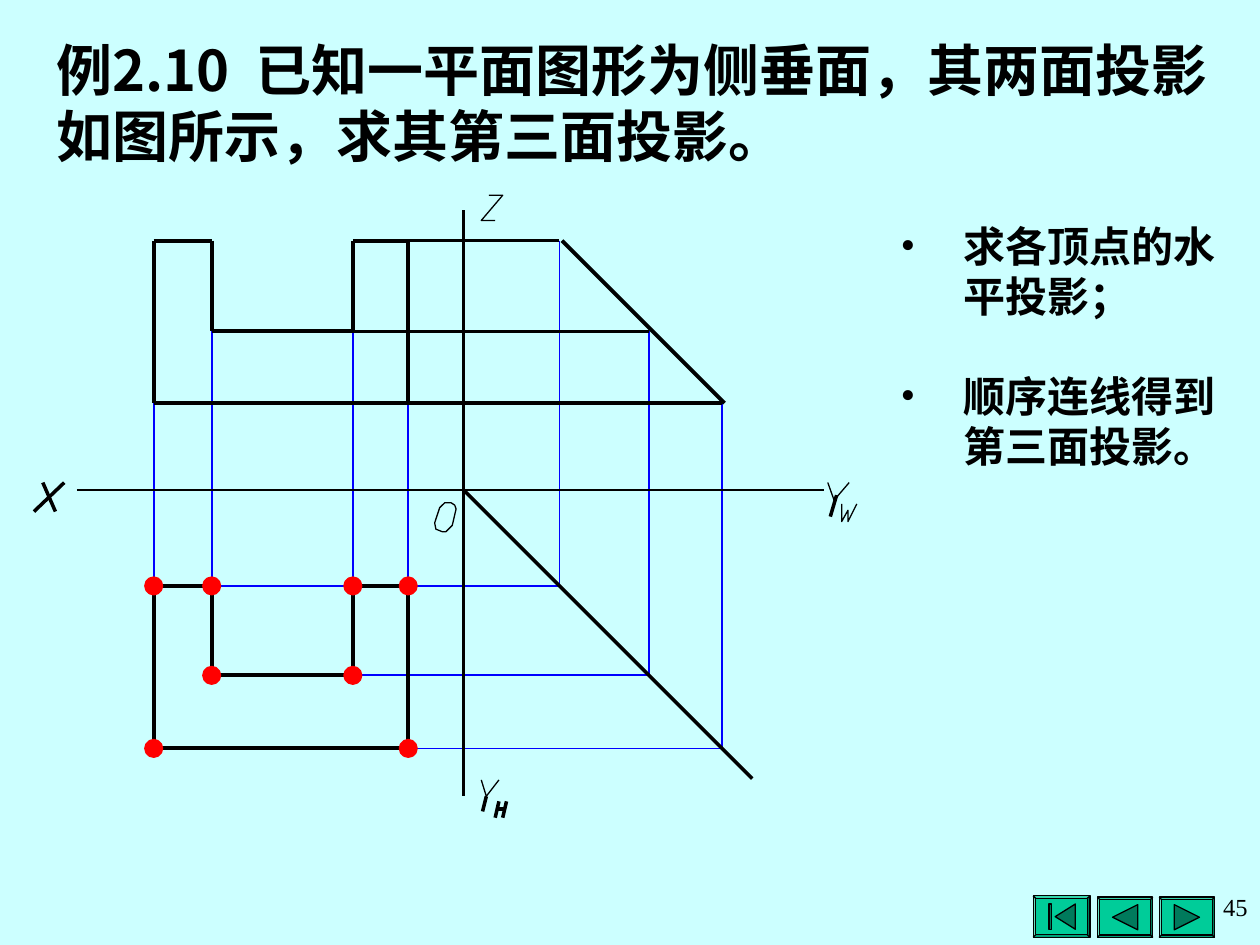
from dataclasses import dataclass

from lxml.etree import SubElement
from pptx import Presentation
from pptx.dml.color import RGBColor
from pptx.enum.shapes import MSO_CONNECTOR, MSO_SHAPE
from pptx.enum.text import MSO_ANCHOR, PP_ALIGN
from pptx.oxml.ns import qn
from pptx.util import Inches, Pt


@dataclass(frozen=True)
class Theme:
    background: RGBColor = RGBColor(0xCC, 0xFF, 0xFF)
    ink: RGBColor = RGBColor(0, 0, 0)
    projector: RGBColor = RGBColor(0, 0, 0xFF)
    vertex: RGBColor = RGBColor(0xFF, 0, 0)
    button: RGBColor = RGBColor(0, 0xCC, 0x99)
    icon: RGBColor = RGBColor(0, 0x7A, 0x5C)
    chinese_font: str = "Noto Sans CJK SC"
    number_font: str = "Times New Roman"
    title_size: Pt = Pt(32)
    body_size: Pt = Pt(24)
    number_size: Pt = Pt(14)
    title_leading: Pt = Pt(37.8)
    body_leading: Pt = Pt(28.6)
    hairline: Pt = Pt(0)
    thin: Pt = Pt(1)
    thick: Pt = Pt(2.25)


THEME = Theme()

# Lengths from the origin O, where the projection axes cross.
COLUMNS = (-2.46, -2.0, -0.88, -0.44)
HEIGHTS = (-1.98, -1.26, -0.69)
DEPTHS = (0.76, 1.47, 2.05)
# Each vertex of the figure as (column, level); a level sets height and depth.
VERTICES = ((0, 0), (1, 0), (1, 1), (2, 1), (2, 0), (3, 0), (3, 2), (0, 2))

AXIS_LETTERS = {
    "X": [[(-3.34, -0.06), (-3.24, 0.17)], [(-3.17, -0.06), (-3.41, 0.17)]],
    "Z": [[(0.2, -2.34), (0.31, -2.34), (0.14, -2.14), (0.25, -2.14)]],
    "O": [[(-0.17, 0.33), (-0.14, 0.33), (-0.12, 0.31), (-0.09, 0.28),
           (-0.06, 0.15), (-0.07, 0.12), (-0.1, 0.1), (-0.15, 0.1),
           (-0.19, 0.14), (-0.23, 0.26), (-0.22, 0.31), (-0.17, 0.33)]],
    "YH": [[(0.14, 2.3), (0.18, 2.43), (0.28, 2.3)], [(0.18, 2.43), (0.15, 2.55)],
           [(0.25, 2.6), (0.28, 2.47)], [(0.26, 2.53), (0.33, 2.53)],
           [(0.34, 2.47), (0.31, 2.6)]],
    "YW": [[(2.89, -0.06), (2.94, 0.08), (3.06, -0.06)], [(2.96, 0.04), (2.91, 0.21)],
           [(3.0, 0.11), (3.0, 0.25), (3.05, 0.16), (3.05, 0.25), (3.12, 0.11)]],
}


def set_attributes(target, values):
    for name, value in values.items():
        setattr(target, name, value)


def add_line(shapes, start, end, color, width):
    line = shapes.add_connector(
        MSO_CONNECTOR.STRAIGHT, *(Inches(value) for value in (*start, *end)))
    line.line.color.rgb = color
    line.line.width = width
    SubElement(line._element.spPr, qn("a:effectLst"))


def style_shape(shape, fill, line, width):
    shape.shadow.inherit = False
    if fill is None:
        shape.fill.background()
    else:
        shape.fill.solid()
        shape.fill.fore_color.rgb = fill
    shape.line.color.rgb = line
    shape.line.width = width


def add_outline(shapes, points, closed, fill, width):
    start, *others = [(Inches(x), Inches(y)) for x, y in points]
    builder = shapes.build_freeform(*start)
    builder.add_line_segments(others, close=closed)
    style_shape(builder.convert_to_shape(), fill, THEME.ink, width)


def add_text_box(slide, box, anchor=MSO_ANCHOR.TOP):
    frame = slide.shapes.add_textbox(*(Inches(value) for value in box)).text_frame
    set_attributes(frame, {"word_wrap": True, "vertical_anchor": anchor})
    return frame


def write(paragraph, text, font_name, size, bold=False):
    run = paragraph.add_run()
    run.text = text
    set_attributes(run.font, {"name": font_name, "size": size, "bold": bold})
    run.font.color.rgb = THEME.ink
    SubElement(run._r.get_or_add_rPr(), qn("a:ea"), typeface=font_name)


def add_title(slide, box, text):
    paragraph = add_text_box(slide, box, MSO_ANCHOR.MIDDLE).paragraphs[0]
    paragraph.line_spacing = THEME.title_leading
    write(paragraph, text, THEME.chinese_font, THEME.title_size, True)


def add_steps(slide, box, steps):
    frame = add_text_box(slide, box)
    for index, step in enumerate(steps):
        paragraph = frame.add_paragraph() if index else frame.paragraphs[0]
        properties = paragraph._p.get_or_add_pPr()
        properties.set("marL", str(Inches(0.5)))
        properties.set("indent", str(-Inches(0.5)))
        SubElement(properties, qn("a:buFont"), typeface=THEME.number_font)
        SubElement(properties, qn("a:buChar"), char="•")
        paragraph.line_spacing = THEME.body_leading
        if index:
            paragraph.space_before = THEME.body_leading
        write(paragraph, step, THEME.chinese_font, THEME.body_size, True)


def add_axis_letters(slide, place):
    for strokes in AXIS_LETTERS.values():
        shapes = slide.shapes
        if len(strokes) > 1:
            shapes = shapes.add_group_shape().shapes
        for stroke in strokes:
            points = [place(*point) for point in stroke]
            if len(points) == 2:
                add_line(shapes, *points, THEME.ink, THEME.hairline)
            else:
                add_outline(shapes, points, points[0] == points[-1], None, THEME.hairline)


def add_projection_drawing(slide, origin):
    """Draw the front, side and top views around the origin of the axes."""
    def place(x, y):
        return origin[0] + x, origin[1] + y

    def draw(start, end, color=THEME.ink, width=THEME.hairline):
        add_line(slide.shapes, place(*start), place(*end), color, width)

    projector = (THEME.projector, THEME.thin)
    for column, level in enumerate((2, 1, 1, 2)):
        x = COLUMNS[column]
        draw((x, HEIGHTS[level]), (x, DEPTHS[level]), *projector)
    for height, depth, first, last in zip(HEIGHTS, DEPTHS, (0, 1, 0), (3, 2, 3)):
        draw((depth, height), (depth, depth), *projector)
        draw((COLUMNS[first], depth), (depth, depth), *projector)
        draw((COLUMNS[last], height), (depth, height))

    draw((0, 0), (2.29, 2.29))
    draw((0, -2.22), (0, 2.43))
    draw((-3.07, 0), (2.86, 0), width=THEME.thin)
    draw((DEPTHS[0] + 0.02, HEIGHTS[0]), (DEPTHS[2] + 0.02, HEIGHTS[2]), width=THEME.thick)
    for levels in (HEIGHTS, DEPTHS):
        view = [(COLUMNS[column], levels[level]) for column, level in VERTICES]
        for start, end in zip(view, view[1:] + view[:1]):
            draw(start, end, width=THEME.thick)

    diameter = 0.12
    for column, level in VERTICES:
        x, y = place(COLUMNS[column], DEPTHS[level])
        dot = slide.shapes.add_shape(
            MSO_SHAPE.OVAL, Inches(x - diameter / 2), Inches(y - diameter / 2),
            Inches(diameter), Inches(diameter))
        style_shape(dot, THEME.vertex, THEME.vertex, THEME.thick)
    add_axis_letters(slide, place)


def add_navigation_button(slide, box, direction, has_bar=False):
    """Draw a bevelled button whose arrow points left (-1) or right (1)."""
    left, top, width, height = box
    button = slide.shapes.add_shape(MSO_SHAPE.BEVEL, *(Inches(value) for value in box))
    button.adjustments[0] = 0.06
    style_shape(button, THEME.button, THEME.ink, Pt(0.75))
    center_x, center_y = left + width / 2, top + height / 2
    half = 0.1
    icons = []
    if has_bar:
        bar_left = center_x - 0.1
        icons.append([(bar_left, center_y - half), (bar_left + 0.02, center_y - half),
                      (bar_left + 0.02, center_y + half), (bar_left, center_y + half)])
        center_x += 0.03
        half_width = 0.08
    else:
        half_width = half
    base = center_x - direction * half_width
    icons.append([(center_x + direction * half_width, center_y),
                  (base, center_y - half), (base, center_y + half)])
    for points in icons:
        add_outline(slide.shapes, points, True, THEME.icon, Pt(0.75))


def add_page_number(slide, box, number):
    paragraph = add_text_box(slide, box).paragraphs[0]
    paragraph.alignment = PP_ALIGN.RIGHT
    write(paragraph, number, THEME.number_font, THEME.number_size)


def main():
    presentation = Presentation()
    set_attributes(presentation, {"slide_width": Inches(10), "slide_height": Inches(7.5)})
    slide = presentation.slides.add_slide(presentation.slide_layouts[6])
    slide.background.fill.solid()
    slide.background.fill.fore_color.rgb = THEME.background

    add_navigation_button(slide, (8.2, 7.11, 0.45, 0.33), -1, has_bar=True)
    add_navigation_button(slide, (8.71, 7.12, 0.44, 0.32), -1)
    add_navigation_button(slide, (9.2, 7.12, 0.44, 0.32), 1)
    add_title(slide, (0.35, 0.19, 9.45, 1.25),
              "例2.10  已知一平面图形为侧垂面，其两面投影如图所示，求其第三面投影。")
    add_projection_drawing(slide, (3.68, 3.89))
    add_steps(slide, (7.05, 1.7, 2.95, 2.1),
              ("求各顶点的水平投影；", "顺序连线得到第三面投影。"))
    add_page_number(slide, (7.48, 7.03, 2.52, 0.61), "45")
    presentation.save("out.pptx")


if __name__ == "__main__":
    main()
